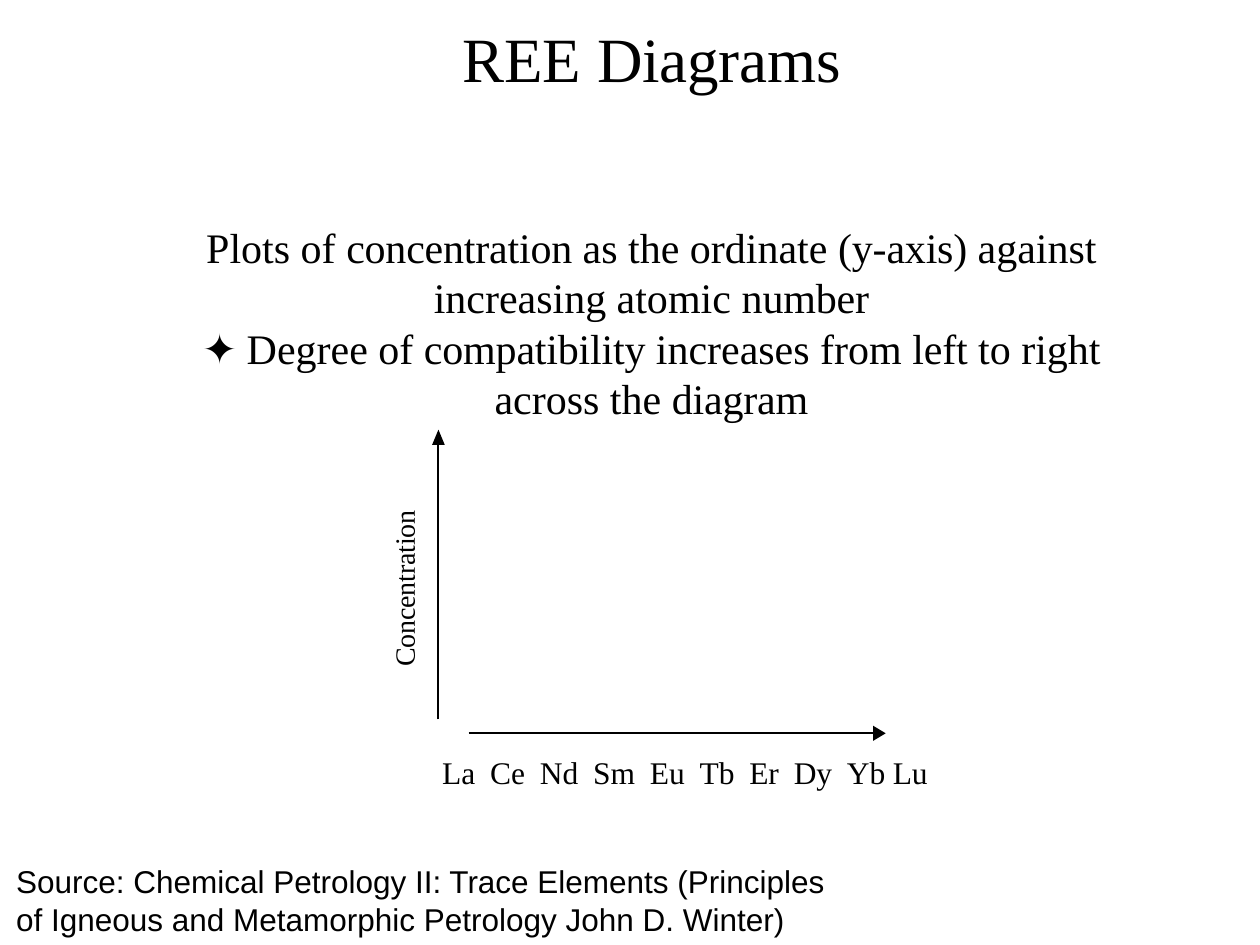
from dataclasses import dataclass

from pptx import Presentation
from pptx import util as u
from pptx.dml.color import RGBColor
from pptx.enum import shapes, text
from pptx.oxml.ns import qn
from lxml import etree


@dataclass(frozen=True)
class Theme:
    ink: RGBColor = RGBColor(0, 0, 0)
    paper: RGBColor = RGBColor(255, 255, 255)
    serif: str = "Times New Roman"
    sans: str = "Arial"
    symbol: str = "Noto Sans CJK JP"
    title: float = 36
    body: float = 24
    label: float = 18
    axis: float = 16
    line: float = 1.14
    tight: float = -0.1


def add_text(p, words, theme, size, font=None, spacing=None):
    """Add one formatted run; spacing is extra width per letter in points."""
    r = p.add_run()
    r.text = words
    r.font.size = u.Pt(size)
    r.font.name = font or theme.serif
    r.font.color.rgb = theme.ink
    rPr = r.font._element
    if font == theme.symbol:
        for tag in ("a:ea", "a:sym"):
            etree.SubElement(rPr, qn(tag)).set("typeface", font)
    if spacing is not None:
        rPr.set("spc", str(round(spacing * 100)))
    return r


class Builder:
    """Places elements on a grid of 100 columns by 75 rows."""

    def __init__(self, prs, theme):
        self.theme = theme
        self.col = prs.slide_width / 100
        self.row = prs.slide_height / 75
        self.slide = prs.slides.add_slide(prs.slide_layouts[5])
        fill = self.slide.background.fill
        fill.solid()
        fill.fore_color.rgb = theme.paper

    def place(self, x, y):
        return round(x * self.col), round(y * self.row)

    def title(self, x, y, w, h, heading, points):
        """Each point is a mark and phrases set normal and tight by turns."""
        t = self.theme
        sp = self.slide.shapes.title
        sp.left, sp.top = self.place(x, y)
        sp.width, sp.height = self.place(w, h)
        tf = sp.text_frame
        tf.word_wrap = True
        tf.auto_size = text.MSO_AUTO_SIZE.NONE
        tf.vertical_anchor = text.MSO_ANCHOR.MIDDLE
        tf.margin_bottom = u.Inches(0.79)
        p = tf.paragraphs[0]
        p.alignment = text.PP_ALIGN.CENTER
        for words, spacing in zip(heading, (0, t.tight)):
            add_text(p, words, t, t.title, spacing=spacing)
        for i, (mark, phrases) in enumerate(points):
            p = tf.add_paragraph()
            p.alignment = text.PP_ALIGN.CENTER
            p.line_spacing = u.Pt(28.75)
            p.space_before = u.Pt(0 if i else 72.3)
            if mark:
                add_text(p, mark, t, t.body, font=t.symbol, spacing=t.tight)
            for j, words in enumerate(phrases):
                add_text(p, words, t, t.body, spacing=t.tight if j % 2 else 0)

    def box(self, x, y, w, h):
        sp = self.slide.shapes.add_textbox(*self.place(x, y), *self.place(w, h))
        sp.text_frame.word_wrap = True
        return sp.text_frame

    def note(self, x, y, w, h, words):
        p = self.box(x, y, w, h).paragraphs[0]
        add_text(p, words, self.theme, self.theme.label, font=self.theme.sans)

    def upright_label(self, x, y, w, h, words):
        tf = self.box(x, y, w, h)
        tf.margin_left = tf.margin_right = tf.margin_top = tf.margin_bottom = 0
        tf._txBody.bodyPr.set("vert", "vert270")
        p = tf.paragraphs[0]
        p.line_spacing = u.Pt(18.5)
        add_text(p, words, self.theme, self.theme.axis, spacing=self.theme.tight)

    def tick_labels(self, x, y, w, h, names, last):
        tf = self.box(x, y, w, h)
        tf.margin_left = u.Inches(1.19)
        p = tf.paragraphs[0]
        size = self.theme.label
        for i, name in enumerate(names):
            if i:
                add_text(p, " ", self.theme, size, spacing=3.9)
            add_text(p, name, self.theme, size)
        add_text(p, " " + last, self.theme, size, spacing=-0.2)

    def line(self, x1, y1, x2, y2):
        cn = self.slide.shapes.add_connector(
            shapes.MSO_CONNECTOR.STRAIGHT, *self.place(x1, y1), *self.place(x2, y2))
        cn.line.width = u.Pt(self.theme.line)
        cn.line.color.rgb = self.theme.ink
        etree.SubElement(cn._element.spPr, qn("a:effectLst"))

    def head(self, *corners):
        first, *rest = [self.place(x, y) for x, y in corners]
        fb = self.slide.shapes.build_freeform(*first)
        fb.add_line_segments(rest, close=True)
        sp = fb.convert_to_shape()
        sp.shadow.inherit = False
        sp.fill.solid()
        sp.fill.fore_color.rgb = self.theme.ink
        sp.line.fill.background()

    def up_arrow(self, x, bottom, top, length=1.2, half=0.5):
        base = top + length
        self.line(x, bottom, x, base)
        self.head((x, top), (x - half, base), (x + half, base))

    def right_arrow(self, y, left, right, length=1, half=0.6):
        base = right - length
        self.line(left, y, base, y)
        self.head((right, y), (base, y - half), (base, y + half))


def main():
    prs = Presentation()
    prs.slide_width, prs.slide_height = u.Inches(10), u.Inches(7.5)
    s = Builder(prs, Theme())

    # Heading and explanation
    s.title(14.2, 15, 75, 12.5, ("REE ", "Diagrams"), [
        ("", ("Plots of ", "concentration ", "as the ordinate ", "(y-axis) ",
              "against increasing atomic ", "number")),
        ("✦ ", ("Degree of ", "compatibility ", "increases from ", "left ",
                "to right across the ", "diagram")),
    ])

    # Axes of the empty diagram
    s.up_arrow(34.8, 57.1, 34.1)
    s.upright_label(30.8, 33.3, 3.3, 19.6, "Concentration")
    s.right_arrow(58.2, 37.2, 70.3)
    s.tick_labels(23.2, 59.3, 60, 4,
                  ["La", "Ce", "Nd", "Sm", "Eu", "Tb", "Er", "Dy", "Yb"], "Lu")

    # Source
    s.note(0.3, 67.9, 68, 7.1,
           "Source: Chemical Petrology II: Trace Elements (Principles of Igneous "
           "and Metamorphic Petrology John D. Winter)")

    prs.save("out.pptx")


if __name__ == "__main__":
    main()
